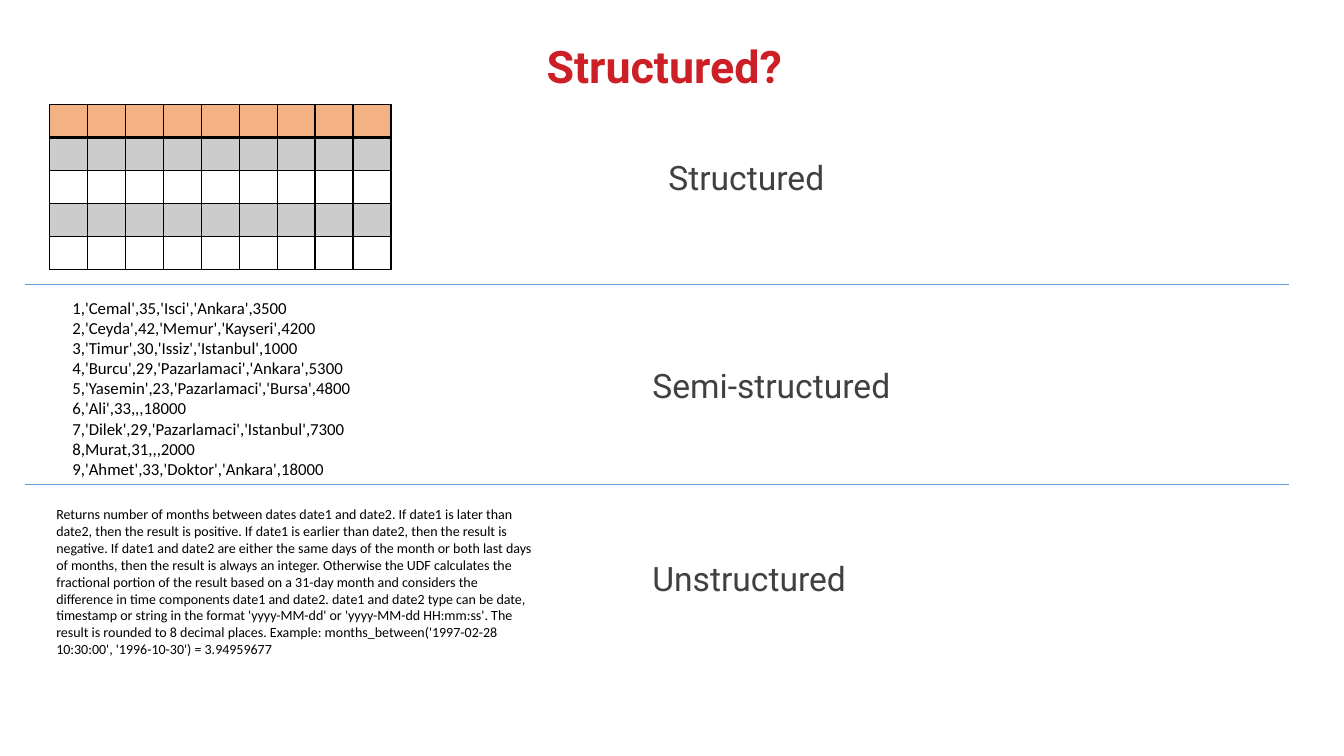
import pptx
import pptx.dml.color
import pptx.enum.shapes
import pptx.enum.text
import pptx.oxml
import pptx.oxml.ns
import pptx.oxml.xmlchemy
import pptx.util

RED = pptx.dml.color.RGBColor(0xCD, 0x1F, 0x26)
DARK_GRAY = pptx.dml.color.RGBColor(0x40, 0x40, 0x41)
BLACK = pptx.dml.color.RGBColor(0x00, 0x00, 0x00)
ORANGE = pptx.dml.color.RGBColor(0xF4, 0xB1, 0x83)
BLUE = pptx.dml.color.RGBColor(0x5B, 0x9B, 0xD5)

RECORDS = [
    "1,'Cemal',35,'Isci','Ankara',3500",
    "2,'Ceyda',42,'Memur','Kayseri',4200",
    "3,'Timur',30,'Issiz','Istanbul',1000",
    "4,'Burcu',29,'Pazarlamaci','Ankara',5300",
    "5,'Yasemin',23,'Pazarlamaci','Bursa',4800",
    "6,'Ali',33,,,18000",
    "7,'Dilek',29,'Pazarlamaci','Istanbul',7300",
    "8,Murat,31,,,2000",
    "9,'Ahmet',33,'Doktor','Ankara',18000",
]
PROSE = (
    "Returns number of months between dates date1 and date2. If date1 is later than date2, "
    "then the result is positive. If date1 is earlier than date2, then the result is negative. "
    "If date1 and date2 are either the same days of the month or both last days of months, "
    "then the result is always an integer. Otherwise the UDF calculates the fractional portion "
    "of the result based on a 31-day month and considers the difference in time components "
    "date1 and date2. date1 and date2 type can be date, timestamp or string in the format "
    "'yyyy-MM-dd' or 'yyyy-MM-dd HH:mm:ss'. The result is rounded to 8 decimal places. "
    "Example: months_between('1997-02-28 10:30:00', '1996-10-30') = 3.94959677"
)


def inches(*lengths):
    return [pptx.util.Inches(length) for length in lengths]


def set_font(paragraph, name, size, color, bold=False):
    paragraph.font.name = name
    paragraph.font.size = pptx.util.Pt(size)
    paragraph.font.color.rgb = color
    paragraph.font.bold = bold


def place_title(slide, left, top, width, height):
    title = slide.shapes.title
    title.left, title.top, title.width, title.height = inches(left, top, width, height)
    frame = title.text_frame
    frame.text = "Structured?"
    frame.auto_size = pptx.enum.text.MSO_AUTO_SIZE.NONE
    frame.vertical_anchor = pptx.enum.text.MSO_ANCHOR.BOTTOM
    paragraph = frame.paragraphs[0]
    paragraph.alignment = pptx.enum.text.PP_ALIGN.CENTER
    paragraph.line_spacing = 0.9
    set_font(paragraph, "Roboto", 32, RED, bold=True)


def add_text(slide, left, top, width, height, lines, name, size, color):
    box = slide.shapes.add_textbox(*inches(left, top, width, height))
    frame = box.text_frame
    frame.word_wrap = True
    frame.text = "\n".join(lines)
    for paragraph in frame.paragraphs:
        set_font(paragraph, name, size, color)
    return frame


def add_label(slide, left, top, width, label):
    frame = add_text(slide, left, top, width, 0.66, [label], "Roboto", 24, DARK_GRAY)
    frame.margin_left = pptx.util.Inches(1.1)
    frame.paragraphs[0].line_spacing = 1.5


def add_divider(slide, left, right, top):
    divider = slide.shapes.add_connector(
        pptx.enum.shapes.MSO_CONNECTOR.STRAIGHT, *inches(left, top, right, top))
    divider.line.color.rgb = BLUE
    divider.line.width = pptx.util.Pt(0.5)
    divider._element.spPr.append(pptx.oxml.xmlchemy.OxmlElement("a:effectLst"))


def set_borders(cell, widths):
    """Draw black cell borders; widths maps a side (L, R, T, B) to points."""
    properties = cell._tc.get_or_add_tcPr()
    for side, width in widths.items():
        properties.append(pptx.oxml.parse_xml(
            f'<a:ln{side} {pptx.oxml.ns.nsdecls("a")} w="{pptx.util.Pt(width)}">'
            f'<a:solidFill><a:srgbClr val="{BLACK}"/></a:solidFill></a:ln{side}>'))


def fill_cell(cell, row):
    """Orange header, then alternating translucent black and clear rows."""
    if row > 0 and row % 2 == 0:
        cell.fill.background()
        return
    cell.fill.solid()
    cell.fill.fore_color.rgb = ORANGE if row == 0 else BLACK
    if row > 0:
        color = cell._tc.tcPr.find(pptx.oxml.ns.qn("a:solidFill"))[0]
        alpha = pptx.oxml.xmlchemy.OxmlElement("a:alpha")
        alpha.set("val", "20000")
        color.append(alpha)


def add_grid(slide, left, top, width, height, rows=5, columns=9):
    table = slide.shapes.add_table(rows, columns, *inches(left, top, width, height)).table
    table.first_row = False
    table.horz_banding = False
    for row in range(rows):
        for column in range(columns):
            cell = table.cell(row, column)
            cell.margin_top = cell.margin_bottom = 0
            set_borders(cell, {"L": 1, "R": 1,
                               "T": 2 if row == 1 else 1,
                               "B": 2 if row == 0 else 1})
            fill_cell(cell, row)


def main():
    deck = pptx.Presentation()
    deck.slide_width, deck.slide_height = inches(13.33, 7.5)
    slide = deck.slides.add_slide(deck.slide_layouts[5])

    place_title(slide, 1.59, 0.23, 10, 0.74)
    add_grid(slide, 0.49, 1.04, 3.39, 1.63)
    add_label(slide, 5.53, 1.31, 3.93, "Structured")
    add_text(slide, 0.62, 2.9, 3.26, 1.92, RECORDS, "Calibri", 12, BLACK)
    add_label(slide, 5.37, 3.37, 4.52, "Semi-structured")
    add_text(slide, 0.46, 4.97, 4.91, 1.62, [PROSE], "Calibri", 10, BLACK)
    add_label(slide, 5.37, 5.29, 4.52, "Unstructured")
    for top in (2.82, 4.81):
        add_divider(slide, 0.25, 12.78, top)

    deck.save("out.pptx")


if __name__ == "__main__":
    main()
